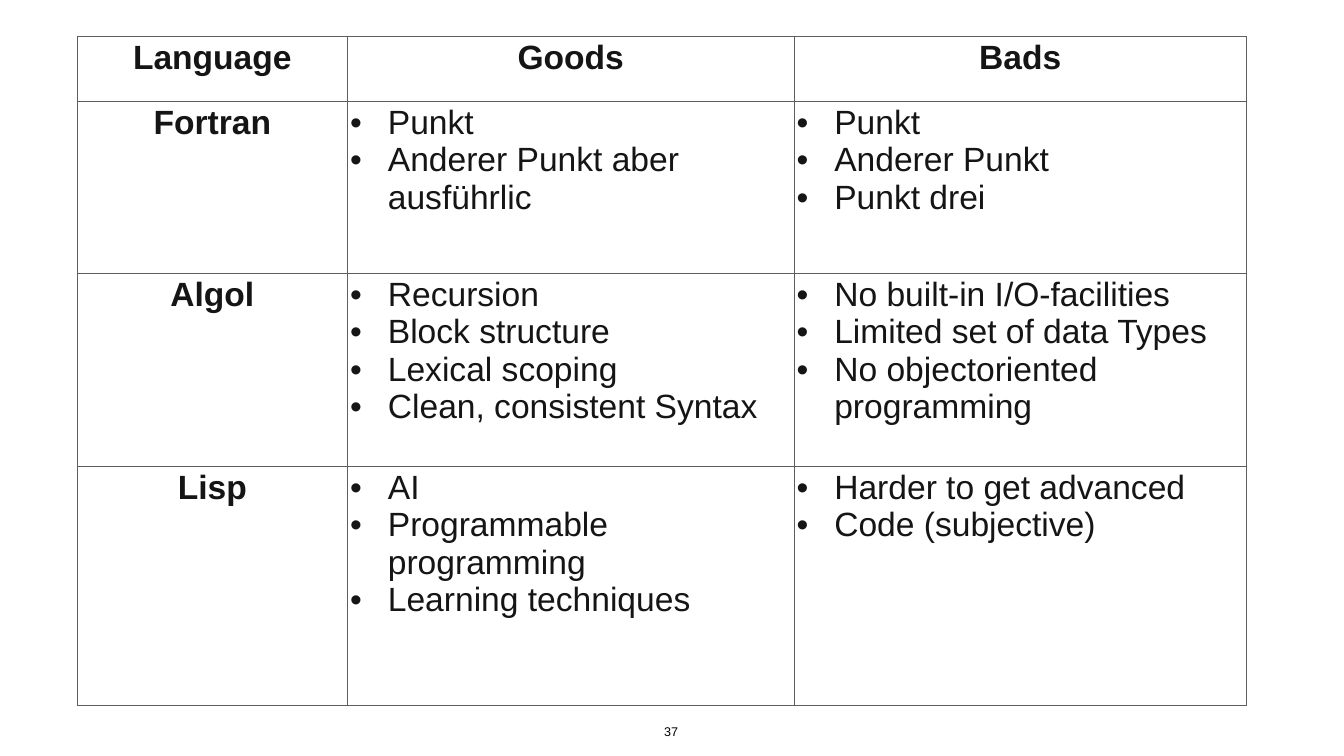
import dataclasses

import pptx
import pptx.dml.color
import pptx.enum.text
import pptx.oxml
import pptx.oxml.ns
import pptx.presentation
import pptx.slide
import pptx.table
import pptx.text.text
import pptx.util

Cm = pptx.util.Cm
Pt = pptx.util.Pt


@dataclasses.dataclass(frozen=True)
class Theme:
    font: str = "Arial"
    table_text: str = "151515"
    page_text: str = "000000"
    border: str = "5E5E5E"
    table_size: int = 48
    page_size: int = 18
    border_width: int = 1


@dataclasses.dataclass(frozen=True)
class Language:
    name: str
    height: float
    goods: tuple[str, ...]
    bads: tuple[str, ...]


THEME = Theme()
HEADINGS = ("Language", "Goods", "Bads")
HEADING_HEIGHT = 3.27
COLUMN_WIDTHS = (13.63, 22.5, 22.8)
CELL_MARGIN = Cm(0.13)
BULLET_INDENT = Cm(1.9)

LANGUAGES = (
    Language(
        "Fortran", 8.66,
        ("Punkt", "Anderer Punkt aber ausführlic"),
        ("Punkt", "Anderer Punkt", "Punkt drei"),
    ),
    Language(
        "Algol", 9.73,
        ("Recursion", "Block structure", "Lexical scoping", "Clean, consistent Syntax"),
        ("No built-in I/O-facilities", "Limited set of data Types",
         "No objectoriented programming"),
    ),
    Language(
        "Lisp", 12.04,
        ("AI", "Programmable programming", "Learning techniques"),
        ("Harder to get advanced", "Code (subjective)"),
    ),
)


def style_text(paragraph: pptx.text.text._Paragraph, size: int, color: str,
               bold: bool = False) -> None:
    font = paragraph.font
    font.name = THEME.font
    font.size = Pt(size)
    font.bold = bold
    font.color.rgb = pptx.dml.color.RGBColor.from_string(color)


def add_bullet(paragraph: pptx.text.text._Paragraph) -> None:
    """Give a hanging bullet; call before the font is set, as the schema orders them."""
    properties = paragraph._p.get_or_add_pPr()
    properties.set("marL", str(BULLET_INDENT))
    properties.set("indent", str(-BULLET_INDENT))
    namespace = pptx.oxml.ns.nsdecls("a")
    properties.append(pptx.oxml.parse_xml(f'<a:buFont {namespace} typeface="{THEME.font}"/>'))
    properties.append(pptx.oxml.parse_xml(f'<a:buChar {namespace} char="•"/>'))


def style_cell(cell: pptx.table._Cell) -> None:
    """Set borders, then the fill, in the order the schema asks for."""
    cell.margin_left = cell.margin_right = CELL_MARGIN
    cell.margin_top = cell.margin_bottom = CELL_MARGIN
    properties = cell._tc.get_or_add_tcPr()
    for side in ("lnL", "lnR", "lnT", "lnB"):
        properties.append(pptx.oxml.parse_xml(
            f'<a:{side} {pptx.oxml.ns.nsdecls("a")} w="{Pt(THEME.border_width)}">'
            f'<a:solidFill><a:srgbClr val="{THEME.border}"/></a:solidFill></a:{side}>'
        ))
    cell.fill.background()


def fill_label(cell: pptx.table._Cell, label: str) -> None:
    style_cell(cell)
    cell.text = label
    paragraph = cell.text_frame.paragraphs[0]
    paragraph.alignment = pptx.enum.text.PP_ALIGN.CENTER
    style_text(paragraph, THEME.table_size, THEME.table_text, bold=True)


def fill_points(cell: pptx.table._Cell, points: tuple[str, ...]) -> None:
    style_cell(cell)
    cell.text = "\n".join(points)
    for paragraph in cell.text_frame.paragraphs:
        add_bullet(paragraph)
        style_text(paragraph, THEME.table_size, THEME.table_text)


def add_comparison(slide: pptx.slide.Slide) -> None:
    heights = (HEADING_HEIGHT, *(language.height for language in LANGUAGES))
    comparison = slide.shapes.add_table(
        len(heights), len(COLUMN_WIDTHS), Cm(3.89), Cm(1.84),
        Cm(sum(COLUMN_WIDTHS)), Cm(sum(heights)),
    ).table
    comparison.first_row = comparison.horz_banding = False
    for column, width in zip(comparison.columns, COLUMN_WIDTHS):
        column.width = Cm(width)
    for row, height in zip(comparison.rows, heights):
        row.height = Cm(height)

    for column, heading in enumerate(HEADINGS):
        fill_label(comparison.cell(0, column), heading)
    for row, language in enumerate(LANGUAGES, start=1):
        fill_label(comparison.cell(row, 0), language.name)
        fill_points(comparison.cell(row, 1), language.goods)
        fill_points(comparison.cell(row, 2), language.bads)


def add_page_number(slide: pptx.slide.Slide, number: str) -> None:
    frame = slide.shapes.add_textbox(Cm(33.32), Cm(36.35), Cm(1.02), Cm(1.04)).text_frame
    frame.margin_left = frame.margin_right = Cm(0.15)
    frame.margin_top = frame.margin_bottom = Cm(0.15)
    frame.word_wrap = False
    frame.auto_size = pptx.enum.text.MSO_AUTO_SIZE.SHAPE_TO_FIT_TEXT
    frame.vertical_anchor = pptx.enum.text.MSO_ANCHOR.BOTTOM
    frame.text = number
    paragraph = frame.paragraphs[0]
    paragraph.alignment = pptx.enum.text.PP_ALIGN.CENTER
    style_text(paragraph, THEME.page_size, THEME.page_text)


def main() -> None:
    presentation = pptx.Presentation()
    presentation.slide_width = Cm(67.74)
    presentation.slide_height = Cm(38.1)
    blank_layout = presentation.slide_layouts[6]
    slide = presentation.slides.add_slide(blank_layout)
    add_page_number(slide, "37")
    add_comparison(slide)
    presentation.save("out.pptx")


if __name__ == "__main__":
    main()
